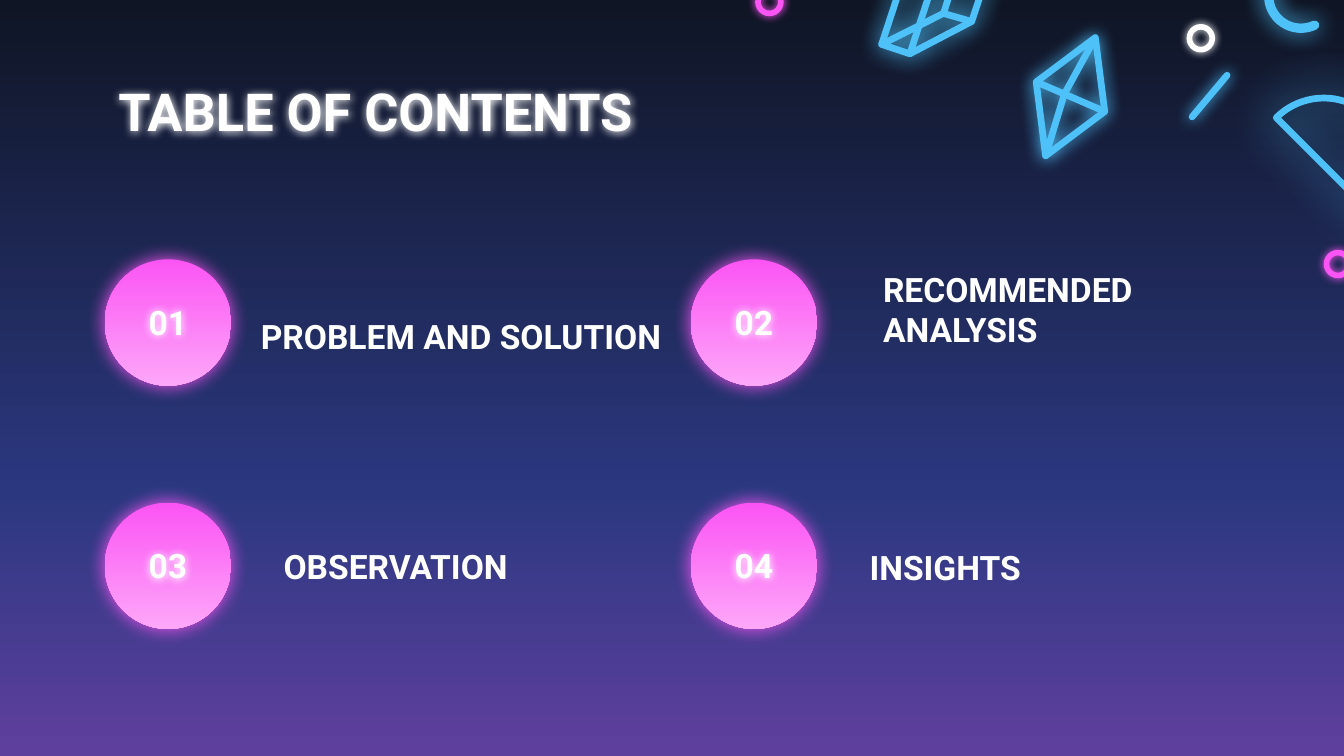
from dataclasses import dataclass
from math import cos, radians, sin

from lxml.etree import SubElement
from pptx import Presentation
from pptx.dml.color import RGBColor
from pptx.enum.shapes import MSO_CONNECTOR as Connector, MSO_SHAPE as Shape
from pptx.enum.text import MSO_ANCHOR as Anchor, MSO_AUTO_SIZE as AutoSize, PP_ALIGN as Align
from pptx.oxml.ns import qn
from pptx.util import Inches, Pt


@dataclass(frozen=True)
class Theme:
    font: str = "Roboto"
    white: str = "FFFFFF"
    pink: str = "FB54F4"
    blue: str = "4FC1F9"
    night: tuple = ((0, "0F1524"), (65, "2B3880"), (100, "5F3F9E"))
    badge: tuple = ((0, "FB54F4"), (100, "FDA7F9"))
    title_size: int = 28
    text_size: int = 18
    ring_line: float = 3
    neon_line: float = 3.6
    arc_line: float = 5
    small_glow: float = 4.5


theme = Theme()


def arc(center_x, center_y, radius, start, end, steps=40):
    angles = [radians(start + (end - start) * i / steps) for i in range(steps + 1)]
    return [(center_x + radius * cos(a), center_y + radius * sin(a)) for a in angles]


# Content
TITLE = "TABLE OF CONTENTS"
SECTIONS = [  # number, label, label box (left, top, width)
    ("01", "PROBLEM AND SOLUTION", (1.84, 2.22, 3.63)),
    ("02", "RECOMMENDED ANALYSIS", (6.47, 2.17, 2.53)),
    ("03", "OBSERVATION", (2.01, 3.93, 2.53)),
    ("04", "INSIGHTS", (6.37, 3.94, 2.53)),
]

# Neon decoration
RINGS = [(8.85, 0.2, theme.white), (9.87, 1.88, theme.pink), (5.64, -0.07, theme.pink)]
RING_SIZE = 0.17
DASH = (8.87, 0.87, 9.13, 0.56)
WIREFRAMES = [  # glow blur, line width, then (closed, points) for each stroke
    (12.4, theme.arc_line, [(False, arc(9.68, -0.03, 0.24, 205, 65))]),
    (9, theme.neon_line,
     [(True, [(8.15, 0.28), (8.22, 0.83), (7.78, 1.16), (7.71, 0.61)]),
      (False, [(7.71, 0.61), (7.92, 0.7), (8.22, 0.83)]),
      (False, [(8.15, 0.28), (7.92, 0.7), (7.78, 1.16)])]),
    (12.4, theme.neon_line,
     [(True, [(7.24, -0.57), (7.45, -0.5), (7.23, 0.16),
              (6.77, 0.4), (6.56, 0.33), (6.78, -0.34)]),
      (False, [(6.78, -0.34), (6.99, -0.27), (7.45, -0.5)]),
      (False, [(6.99, -0.27), (6.77, 0.4)]),
      (False, [(7.24, -0.57), (7.02, 0.1)]),
      (False, [(6.56, 0.33), (7.02, 0.1), (7.23, 0.16)])]),
    (27, theme.neon_line, [(True, arc(9.85, 1.23, 0.5, 225, 405))]),
]

# Badge grid
GRID_LEFT, GRID_TOP = 0.78, 1.93
COLUMN_STEP, ROW_STEP = 4.36, 1.81
BADGE_SIZE = 0.94
NUMBER_WIDTH, ROW_HEIGHT = 0.68, 0.53


def glow(shape, color, blur):
    effects = SubElement(shape._element.spPr, qn("a:effectLst"))
    shadow = SubElement(effects, qn("a:outerShdw"), blurRad=str(Pt(blur)),
                        dist="0", dir="0", algn="bl", rotWithShape="0")
    SubElement(shadow, qn("a:srgbClr"), val=color)


def fill_gradient(fill, element, stops):
    fill.gradient()
    gradient = element.find(".//" + qn("a:gradFill"))
    for child in list(gradient):
        gradient.remove(child)
    stop_list = SubElement(gradient, qn("a:gsLst"))
    for position, color in stops:
        stop = SubElement(stop_list, qn("a:gs"), pos=str(position * 1000))
        SubElement(stop, qn("a:srgbClr"), val=color)
    SubElement(gradient, qn("a:lin"), ang="5400000", scaled="0")


def draw_line(shape, color, width, rounded=False):
    shape.line.color.rgb = RGBColor.from_string(color)
    shape.line.width = Pt(width)
    if rounded:
        outline = shape.line._get_or_add_ln()
        outline.set("cap", "rnd")
        SubElement(outline, qn("a:round"))


def place(shape, left, top, width, height):
    shape.left, shape.top = Inches(left), Inches(top)
    shape.width, shape.height = Inches(width), Inches(height)


def write(box, text, size, align, anchor):
    frame = box.text_frame
    frame.text = text
    frame.word_wrap = True
    frame.auto_size = AutoSize.NONE
    frame.vertical_anchor = anchor
    frame.margin_left = frame.margin_right = Inches(0.1)
    frame.margin_top = frame.margin_bottom = Inches(0.1)
    para = frame.paragraphs[0]
    para.alignment = align
    para.space_before = Pt(0)
    properties = para._p.get_or_add_pPr()
    properties.set("marL", "0")
    properties.set("indent", "0")
    SubElement(properties, qn("a:buNone"))
    para.font.name = theme.font
    para.font.size = Pt(size)
    para.font.bold = True
    para.font.color.rgb = RGBColor.from_string(theme.white)


deck = Presentation()
deck.slide_width = Inches(10)
deck.slide_height = deck.slide_width * 9 // 16
page = deck.slides.add_slide(deck.slide_layouts.get_by_name("Comparison"))
fill_gradient(page.background.fill, page._element, theme.night)

# Rings
for left, top, color in RINGS:
    ring = page.shapes.add_shape(Shape.OVAL, Inches(left), Inches(top),
                                 Inches(RING_SIZE), Inches(RING_SIZE))
    ring.fill.background()
    draw_line(ring, color, theme.ring_line)
    glow(ring, color, theme.small_glow)

# Wireframes and dash
for blur, width, strokes in WIREFRAMES:
    builder = None
    for closed, points in strokes:
        start, *rest = [(Inches(x), Inches(y)) for x, y in points]
        if builder is None:
            builder = page.shapes.build_freeform(*start)
        else:
            builder.move_to(*start)
        builder.add_line_segments(rest, close=closed)
    wireframe = builder.convert_to_shape()
    wireframe.fill.background()
    draw_line(wireframe, theme.blue, width, rounded=True)
    glow(wireframe, theme.blue, blur)

dash = page.shapes.add_connector(Connector.STRAIGHT, *[Inches(v) for v in DASH])
draw_line(dash, theme.blue, theme.neon_line, rounded=True)
glow(dash, theme.blue, 7.9)

# Title
title, *labels = page.placeholders
place(title, 0.78, 0.49, 8.44, 0.63)
write(title, TITLE, theme.title_size, Align.LEFT, Anchor.TOP)
glow(title, theme.white, theme.small_glow)

# Numbered sections
for index, ((number, text, label_box), label) in enumerate(zip(SECTIONS, labels)):
    row, column = divmod(index, 2)
    left, top = GRID_LEFT + column * COLUMN_STEP, GRID_TOP + row * ROW_STEP
    badge = page.shapes.add_shape(Shape.OVAL, Inches(left), Inches(top),
                                  Inches(BADGE_SIZE), Inches(BADGE_SIZE))
    fill_gradient(badge.fill, badge._element, theme.badge)
    badge.line.fill.background()
    glow(badge, theme.pink, 10.1)

    number_box = page.shapes.add_textbox(
        Inches(left + (BADGE_SIZE - NUMBER_WIDTH) / 2), Inches(top + 0.2),
        Inches(NUMBER_WIDTH), Inches(ROW_HEIGHT))
    write(number_box, number, theme.text_size, Align.CENTER, Anchor.MIDDLE)
    glow(number_box, theme.white, theme.small_glow)

    place(label, *label_box, ROW_HEIGHT)
    write(label, text, theme.text_size, Align.LEFT, Anchor.BOTTOM)

deck.save("out.pptx")
